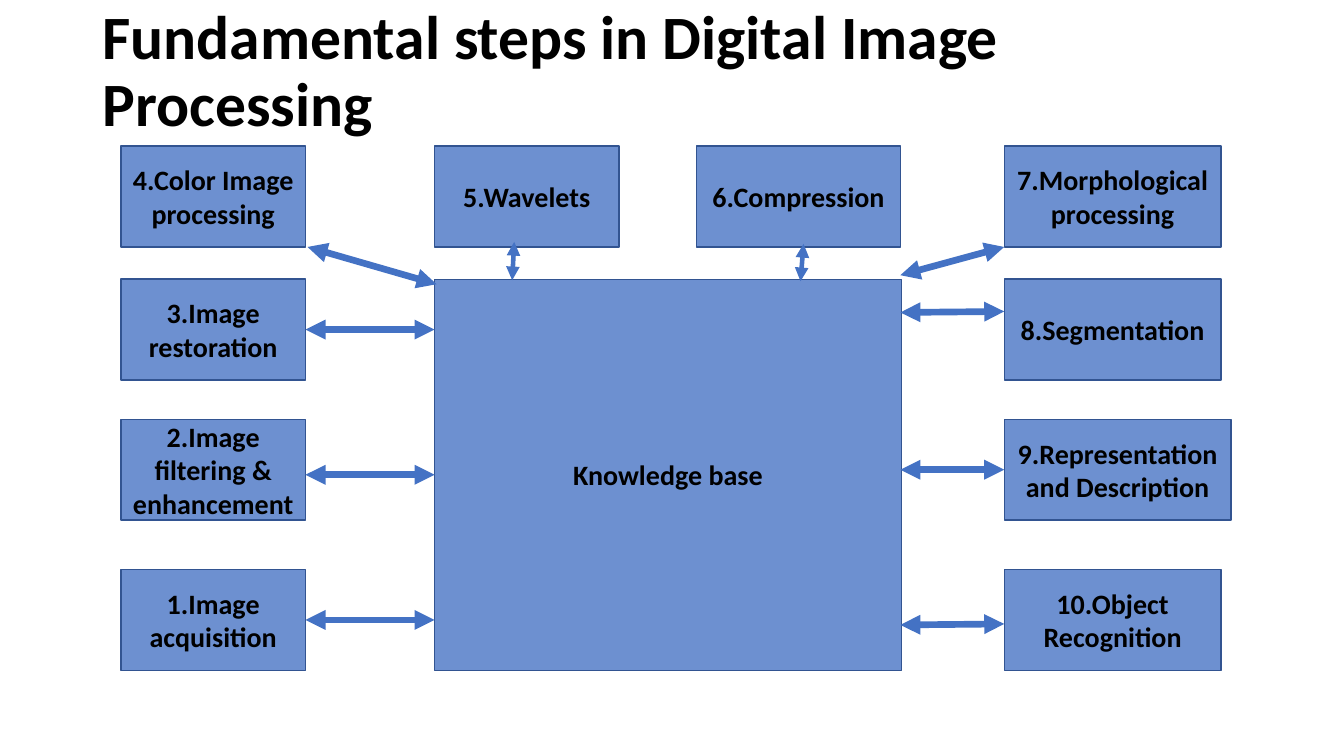
from lxml import etree
from pptx import Presentation
from pptx.dml.color import RGBColor
from pptx.enum import shapes, text
from pptx.oxml import ns
from pptx.util import Inches, Pt

FONT = "Calibri"
BLUE, OUTLINE, BLACK = "4472C4", "325491", "000000"
TOP, RIGHT, BOTTOM, LEFT = 0, 3, 2, 1  # connection sites of a rectangle

ROWS = [1.45, 2.77, 4.16, 5.65]
LEFT_X, LEFT_WIDTH = 1.2, 1.83
RIGHT_X, RIGHT_WIDTH = 9.96, 2.15
BASE_X, BASE_WIDTH = 4.31, 4.63
STEP_HEIGHT = 1

LEFT_STEPS = ["4.Color Image processing", "3.Image restoration",
              "2.Image filtering & enhancement", "1.Image acquisition"]
RIGHT_STEPS = ["7.Morphological processing", "8.Segmentation",
               "9.Representation and Description", "10.Object Recognition"]


def color(value):
    return RGBColor.from_string(value)


def set_font(paragraph, size):
    paragraph.font.name = FONT
    paragraph.font.size = Pt(size)
    paragraph.font.bold = True
    paragraph.font.color.rgb = color(BLACK)


def add_title(slide, words):
    box = slide.shapes.add_textbox(Inches(0.92), 0, Inches(11.5), Inches(1.45))
    frame = box.text_frame
    frame.word_wrap = True
    frame.vertical_anchor = text.MSO_ANCHOR.MIDDLE
    paragraph = frame.paragraphs[0]
    paragraph.text = words
    paragraph.line_spacing = 0.9
    set_font(paragraph, 44)


def add_box(slide, words, left, top, width, height=STEP_HEIGHT):
    box = slide.shapes.add_shape(
        shapes.MSO_SHAPE.RECTANGLE,
        Inches(left), Inches(top), Inches(width), Inches(height))
    box.shadow.inherit = False
    box.fill.solid()
    box.fill.fore_color.rgb = color(BLUE)
    fill = box.fill._xPr.find(ns.qn("a:solidFill"))
    etree.SubElement(fill[0], ns.qn("a:alpha"), val="78000")
    box.line.color.rgb = color(OUTLINE)
    box.line.width = Pt(1)
    frame = box.text_frame
    frame.word_wrap = True
    frame.vertical_anchor = text.MSO_ANCHOR.MIDDLE
    paragraph = frame.paragraphs[0]
    paragraph.text = words
    paragraph.alignment = text.PP_ALIGN.CENTER
    set_font(paragraph, 20)
    return box


def add_double_arrow(slide, start, end, width=4.75):
    arrow = slide.shapes.add_connector(
        shapes.MSO_CONNECTOR.STRAIGHT, *map(Inches, start + end))
    arrow.line.color.rgb = color(BLUE)
    arrow.line.width = Pt(width)
    line = arrow.line._get_or_add_ln()
    for tag in ("a:headEnd", "a:tailEnd"):
        etree.SubElement(line, ns.qn(tag), type="triangle")
    etree.SubElement(arrow._element.spPr, ns.qn("a:effectLst"))
    return arrow


def main():
    presentation = Presentation()
    presentation.slide_width = Inches(13.33)
    presentation.slide_height = Inches(7.5)
    slide = presentation.slides.add_slide(presentation.slide_layouts[6])

    add_title(slide, "Fundamental steps in Digital Image Processing")

    # Steps around the knowledge base
    left_boxes = [add_box(slide, words, LEFT_X, top, LEFT_WIDTH)
                  for words, top in zip(LEFT_STEPS, ROWS)]
    add_box(slide, "5.Wavelets", BASE_X, ROWS[0], LEFT_WIDTH)
    add_box(slide, "6.Compression", 6.91, ROWS[0], 2.02)
    right_boxes = [add_box(slide, words, RIGHT_X, top, RIGHT_WIDTH)
                   for words, top in zip(RIGHT_STEPS, ROWS)]
    right_boxes[2].width = Inches(2.25)
    base = add_box(slide, "Knowledge base", BASE_X, ROWS[1], BASE_WIDTH, 3.88)

    # Arrows on the left side
    left_edge = LEFT_X + LEFT_WIDTH
    restoration, filtering, acquisition = [
        add_double_arrow(slide, (left_edge, y), (BASE_X, y))
        for y in (3.27, 4.71, 6.15)]
    restoration.begin_connect(left_boxes[1], RIGHT)
    filtering.end_connect(base, LEFT)
    acquisition.begin_connect(left_boxes[3], RIGHT)

    # Arrows on the right side
    base_edge = 8.93
    segmentation, representation, recognition = [
        add_double_arrow(slide, (base_edge, y), (RIGHT_X, y - 0.01))
        for y in (3.1, 4.66, 6.2)]
    representation.end_connect(right_boxes[2], LEFT)

    # Arrows from the corner steps and the top steps
    add_double_arrow(slide, (3.05, 2.45), (4.33, 2.82))
    add_double_arrow(slide, (base_edge, 2.73), (RIGHT_X, 2.45))
    add_double_arrow(slide, (5.08, 2.78), (5.1, 2.4), 3.25)
    add_double_arrow(slide, (7.94, 2.79), (7.97, 2.42), 3.25)

    presentation.save("out.pptx")


if __name__ == "__main__":
    main()
